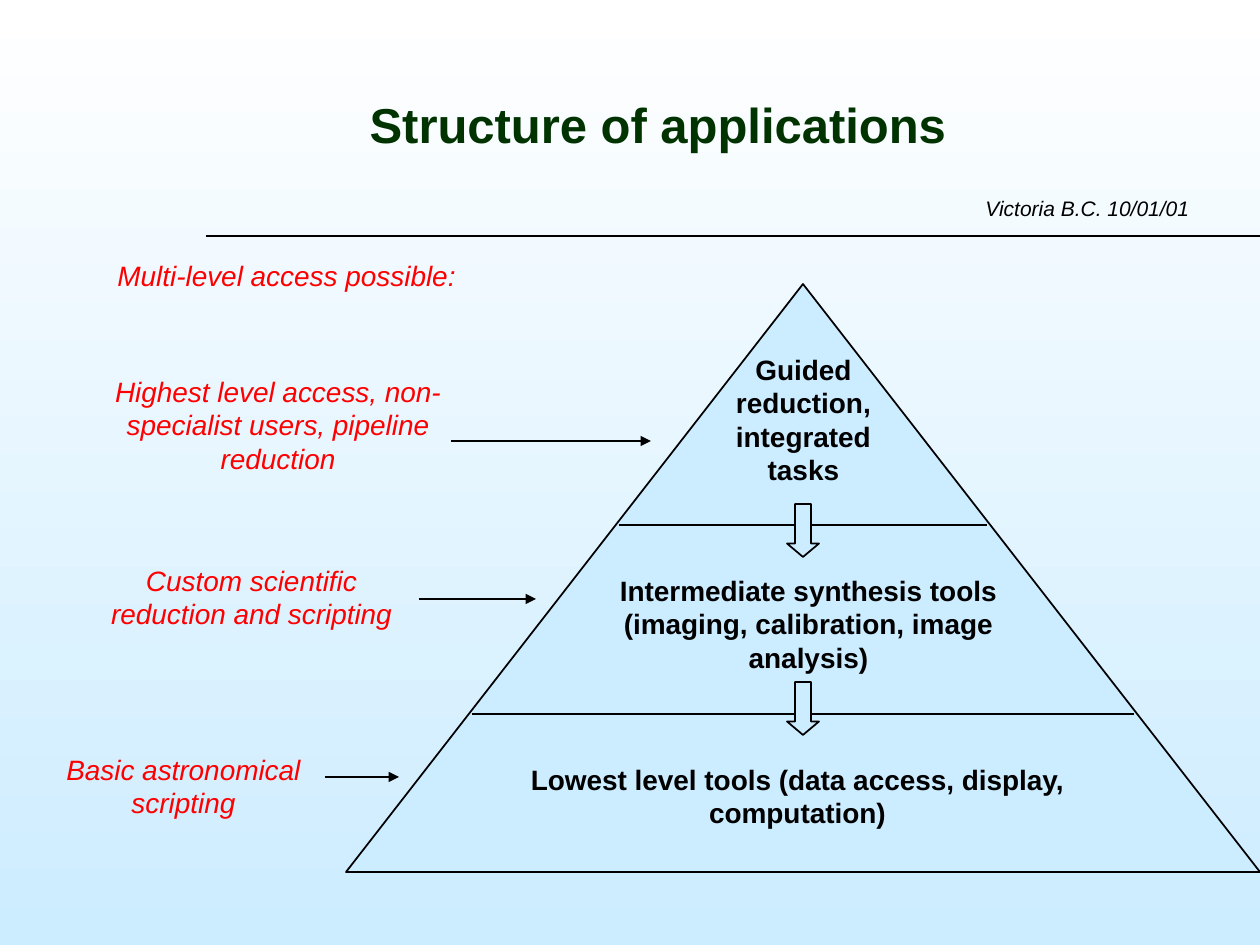
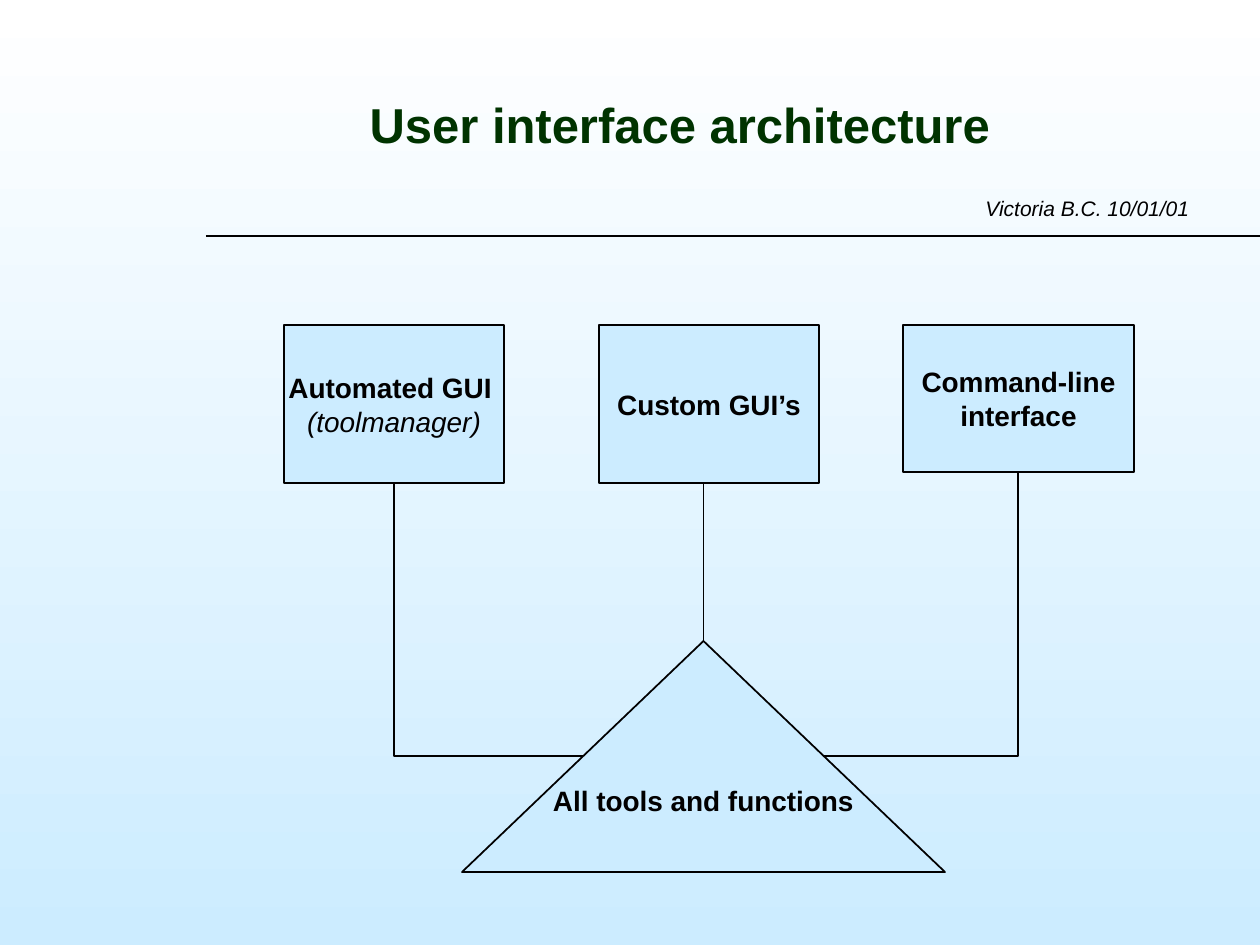
from lxml import etree
from pptx import Presentation
from pptx.dml.color import RGBColor
from pptx.enum import shapes, text
from pptx.oxml import ns
from pptx.util import Pt

EMU_PER_PX = 914400 / 126
SLIDE_WIDTH, SLIDE_HEIGHT = 1260, 945
INK = RGBColor(0x01, 0x00, 0x00)
GREEN = RGBColor(0x00, 0x33, 0x00)
RED = RGBColor(0xFF, 0x00, 0x00)
SKY = RGBColor(0xCC, 0xEC, 0xFF)
WHITE = RGBColor(0xFF, 0xFF, 0xFF)

STRONG = {"size": Pt(16), "bold": True, "italic": False}
SLANTED = {"size": Pt(16), "bold": False, "italic": True}
SMALL = {"size": Pt(12), "bold": False, "italic": True}
HEADING = {"size": Pt(28), "bold": True, "italic": False}
CENTER = text.PP_ALIGN.CENTER
LEFT = text.PP_ALIGN.LEFT


def px(*lengths):
    return [round(length * EMU_PER_PX) for length in lengths]


def format_paragraph(paragraph, style, color, alignment):
    paragraph.alignment = alignment
    for name, value in {"name": "Arial", **style}.items():
        setattr(paragraph.font, name, value)
    paragraph.font.color.rgb = color


def set_background(master):
    fill = master.background.fill
    fill.gradient()
    fill.gradient_angle = 270
    for stop, position, color in zip(fill.gradient_stops, (0, 1), (WHITE, SKY)):
        stop.position = position
        stop.color.rgb = color


def add_line(slide, start, end, kind=shapes.MSO_CONNECTOR.STRAIGHT, arrow=False):
    line = slide.shapes.add_connector(kind, *px(*start, *end))
    line.line.color.rgb = INK
    line.line.width = Pt(1)
    if arrow:
        etree.SubElement(line.line._get_or_add_ln(), ns.qn("a:tailEnd"), type="triangle")
    etree.SubElement(line._element.spPr, ns.qn("a:effectLst"))
    return line


def add_corner_line(slide, start, end):
    line = add_line(slide, start, end, shapes.MSO_CONNECTOR.ELBOW)
    line._element.spPr.find(ns.qn("a:prstGeom")).set("prst", "bentConnector2")


def add_label(slide, place, words, style=STRONG, color=INK, alignment=CENTER):
    frame = slide.shapes.add_textbox(*px(*place)).text_frame
    frame.word_wrap = True
    frame.auto_size = text.MSO_AUTO_SIZE.SHAPE_TO_FIT_TEXT
    frame.text = words
    format_paragraph(frame.paragraphs[0], style, color, alignment)


def add_figure(slide, kind, place, lines=()):
    shape = slide.shapes.add_shape(kind, *px(*place))
    shape.shadow.inherit = False
    shape.fill.solid()
    shape.fill.fore_color.rgb = SKY
    shape.line.color.rgb = INK
    shape.line.width = Pt(1)
    frame = shape.text_frame
    frame.word_wrap = False
    frame.vertical_anchor = text.MSO_ANCHOR.MIDDLE
    for index, (words, style) in enumerate(lines):
        paragraph = frame.add_paragraph() if index else frame.paragraphs[0]
        paragraph.text = words
        format_paragraph(paragraph, style, INK, CENTER)
    return shape


def add_titled_slide(presentation, heading):
    slide = presentation.slides.add_slide(presentation.slide_layouts[5])
    title = slide.shapes.title
    title.left, title.top, title.width, title.height = px(357, 53, 840, 157)
    title.text_frame.text = heading
    title.text_frame.vertical_anchor = text.MSO_ANCHOR.MIDDLE
    title.text_frame.auto_size = text.MSO_AUTO_SIZE.NONE
    paragraph = title.text_frame.paragraphs[0]
    paragraph.line_spacing = 0.7
    format_paragraph(paragraph, HEADING, GREEN, LEFT)
    add_line(slide, (206, 236), (SLIDE_WIDTH, 236))
    add_label(slide, (935, 189, 305, 38), "Victoria B.C. 10/01/01", SMALL)
    return slide


def build_applications_slide(presentation):
    slide = add_titled_slide(presentation, "Structure of applications")
    add_figure(slide, shapes.MSO_SHAPE.FLOWCHART_EXTRACT, (346, 284, 914, 588))

    levels = [
        ((714, 346, 179, 147), "Guided reduction, integrated tasks"),
        ((588, 567, 441, 113), "Intermediate synthesis tools (imaging, calibration, image analysis)"),
        ((451, 756, 693, 81), "Lowest level tools (data access, display, computation)"),
    ]
    for place, words in levels:
        add_label(slide, place, words)

    for left, right, y in [(619, 987, 525), (472, 1134, 714)]:
        add_line(slide, (left, y), (right, y))

    access_notes = [
        ((73, 368, 410, 113), "Highest level access, non-specialist users, pipeline reduction", (451, 651, 441)),
        ((73, 557, 357, 81), "Custom scientific reduction and scripting", (419, 536, 599)),
        ((31, 746, 305, 81), "Basic astronomical scripting", (325, 399, 777)),
    ]
    for place, words, (left, right, y) in access_notes:
        add_label(slide, place, words, SLANTED, RED)
        add_line(slide, (left, y), (right, y), arrow=True)

    for top in (504, 682):
        arrow = add_figure(slide, shapes.MSO_SHAPE.DOWN_ARROW, (787, top, 32, 53))
        arrow.adjustments[0] = 0.5
        arrow.adjustments[1] = 0.42
    add_label(slide, (105, 252, 798, 47), "Multi-level access possible:", SLANTED, RED, LEFT)


def build_interface_slide(presentation):
    slide = add_titled_slide(presentation, "User interface architecture")
    interfaces = [
        ((284, 325, 220, 158), [("Automated GUI ", STRONG), ("(toolmanager)", SLANTED)]),
        ((599, 325, 220, 158), [("Custom GUI’s", STRONG)]),
        ((903, 325, 231, 147), [("Command-line", STRONG), ("interface", STRONG)]),
    ]
    for place, lines in interfaces:
        add_figure(slide, shapes.MSO_SHAPE.RECTANGLE, place, lines)

    tools = add_figure(slide, shapes.MSO_SHAPE.FLOWCHART_EXTRACT, (462, 641, 483, 231),
                       [("All tools and functions", STRONG)])
    tools.text_frame.margin_bottom = px(35)[0]
    add_corner_line(slide, (583, 756), (394, 483))
    add_corner_line(slide, (824, 756), (1018, 472))
    stem = add_line(slide, (703, 641), (703, 483))
    stem.begin_connect(tools, 0)
    stem.end_x = stem.begin_x


def main():
    presentation = Presentation()
    presentation.slide_width, presentation.slide_height = px(SLIDE_WIDTH, SLIDE_HEIGHT)
    set_background(presentation.slide_master)
    build_applications_slide(presentation)
    build_interface_slide(presentation)
    presentation.save("out.pptx")


if __name__ == "__main__":
    main()
